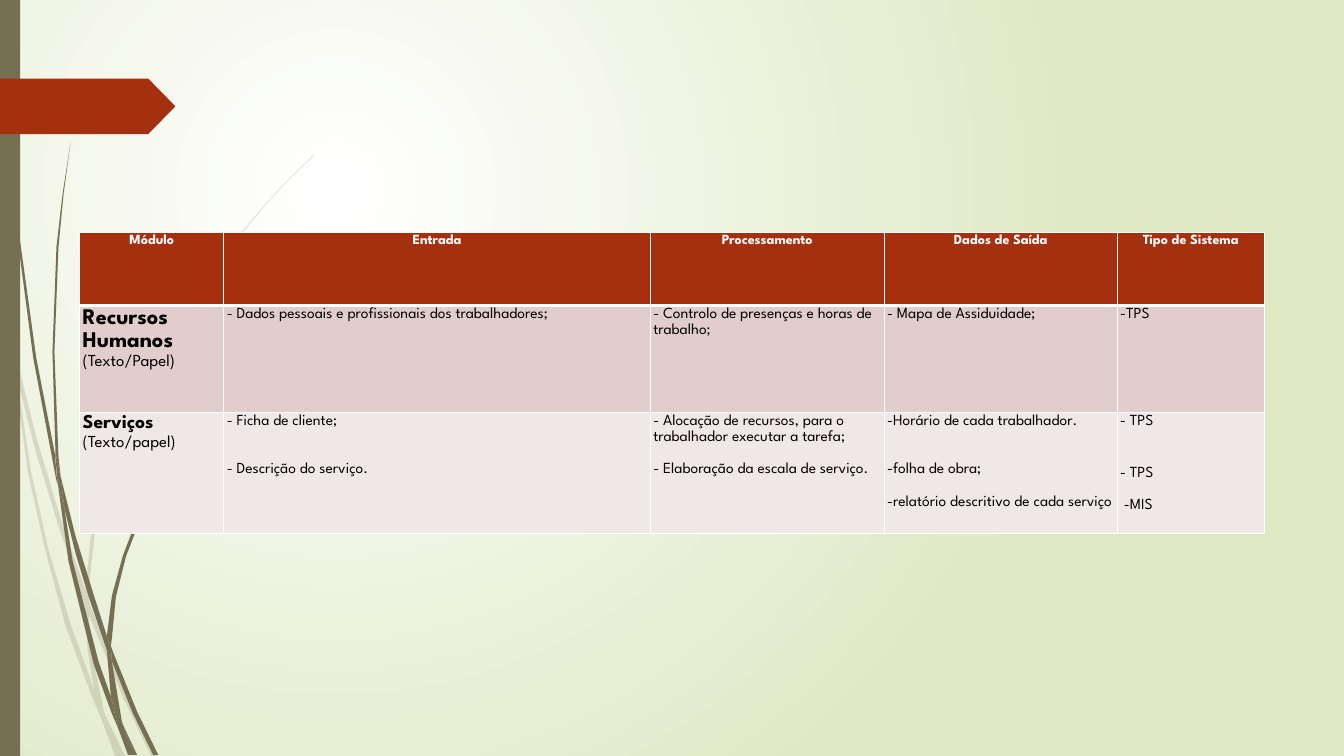
from lxml import etree
from pptx import Presentation
from pptx.dml.color import RGBColor
from pptx.enum.shapes import MSO_SHAPE
from pptx.enum.text import PP_ALIGN
from pptx.oxml.ns import qn
from pptx.util import Inches, Pt

RECT, ARROW = MSO_SHAPE.RECTANGLE, MSO_SHAPE.PENTAGON
LEFT, CENTER = PP_ALIGN.LEFT, PP_ALIGN.CENTER
FONT = "League Spartan"
OLIVE, RUST, WHITE, BLACK = "766F54", "A53010", "FFFFFF", "000000"
GAP = 11.6  # height of one line of 11 pt text, in points

HEADS = ["Módulo", "Entrada", "Processamento", "Dados de Saída", "Tipo de Sistema"]
# Each line: text, then its format
ROWS = [
    ("E1CDCC", [
        [("Recursos Humanos", dict(size=16, bold=True)), ("(Texto/Papel)", dict(size=12))],
        [("- Dados pessoais e profissionais dos trabalhadores;", {})],
        [("- Controlo de presenças e horas de trabalho;", {})],
        [("- Mapa de Assiduidade;", {})],
        [("-TPS", {})],
    ]),
    ("F0E8E7", [
        [("Serviços", dict(size=14, bold=True)), ("(Texto/papel)", dict(size=12))],
        [("- Ficha de cliente;", {}), ("- Descrição do serviço.", dict(before=2 * GAP))],
        [("- Alocação de recursos, para o trabalhador executar a tarefa;", {}),
         ("- Elaboração da escala de serviço.", dict(before=GAP))],
        [("-Horário de cada trabalhador.", {}),
         ("-folha de obra;", dict(before=2 * GAP)),
         ("-relatório descritivo de cada serviço", dict(before=GAP))],
        [("- TPS", {}), ("- TPS", dict(before=2.2 * GAP)), (" -MIS", dict(before=GAP))],
    ]),
]
WIDTHS = [1.43, 4.23, 2.32, 2.31, 1.46]
HEIGHTS = [0.72, 1.06, 1.2]

# Outlines of the grass blades, in inches
PALE = [
    [(0.11, 3.5), (0.09, 3.22), (0, 2.82), (0, 2.99), (0.1, 3.44)],
    [(0.58, 5.22), (0.84, 5.99), (0.85, 5.86), (0.62, 5.2), (0.36, 4.34), (0.14, 3.45),
     (0.17, 3.76), (0.36, 4.5)],
    [(0.92, 6.07), (0.88, 5.96), (0.88, 6.1), (1.23, 6.94), (1.5, 7.5), (1.55, 7.5),
     (1.27, 6.92)],
    [(1.19, 7.5), (1.24, 7.5), (1.05, 7.11)],
    [(0.93, 6.83), (0.7, 6.19), (0.48, 5.45), (0.31, 4.69), (0.17, 3.76), (0.11, 3.5),
     (0.28, 4.7), (0.45, 5.46), (0.65, 6.21), (0.92, 6.93), (1.01, 7.14), (0.99, 7.07)],
    [(0.84, 5.99), (0.87, 6.46), (0.93, 6.83), (0.96, 6.92), (1.05, 7.11), (1.03, 7.06),
     (0.91, 6.46), (0.88, 6.1), (0.88, 6.08)],
    [(0.88, 5.84), (0.95, 5.22), (1.1, 4.62), (1.33, 4.05), (1.6, 3.49), (1.93, 2.95),
     (2.29, 2.45), (2.68, 1.98), (2.9, 1.75), (3.12, 1.54), (3.12, 1.53), (2.89, 1.75),
     (2.68, 1.97), (2.28, 2.44), (1.91, 2.94), (1.58, 3.48), (1.3, 4.04), (1.07, 4.61),
     (0.91, 5.21), (0.85, 5.84), (0.85, 5.86), (0.88, 5.96)],
    [(1.01, 7.14), (1.14, 7.5), (1.19, 7.5)],
    [(0.88, 6.08), (0.88, 6.1), (0.88, 5.96), (0.85, 5.86), (0.84, 5.99)],
    [(0.96, 6.92), (0.93, 6.83), (0.99, 7.07), (1.01, 7.14), (1.19, 7.5), (1.05, 7.11)],
]
DARK = [
    [(0.07, 1.1), (0.17, 2.33), (0.33, 3.55), (0.56, 4.77), (0.57, 4.81), (0.55, 4.57),
     (0.55, 4.53), (0.36, 3.55), (0.19, 2.32), (0.08, 1.09), (0.05, 0.48), (0.04, 0),
     (0.03, 0), (0.04, 0.48)],
    [(0.88, 5.92), (1.06, 6.45), (1.06, 6.31), (0.93, 5.9), (0.75, 5.32), (0.6, 4.72),
     (0.64, 5.05), (0.75, 5.49)],
    [(1.13, 6.49), (1.1, 6.41), (1.11, 6.56), (1.32, 7.08), (1.52, 7.49), (1.57, 7.49),
     (1.36, 7.06)],
    [(1.1, 6.91), (0.98, 6.57), (0.72, 5.56), (0.64, 5.05), (0.57, 4.77), (0.68, 5.57),
     (0.93, 6.59), (1.11, 7.08), (1.17, 7.22), (1.16, 7.17)],
    [(0.6, 4.72), (0.58, 4.53), (0.54, 3.49), (0.58, 2.45), (0.63, 1.93), (0.7, 1.41),
     (0.62, 1.93), (0.56, 2.45), (0.52, 3.49), (0.55, 4.49)],
    [(1.33, 7.49), (1.36, 7.49), (1.22, 7.19)],
    [(0.57, 4.77), (0.64, 5.05), (0.6, 4.72), (0.55, 4.49), (0.55, 4.53)],
    [(1.11, 6.33), (1.15, 5.92), (1.25, 5.52), (1.4, 5.13), (1.58, 4.76), (2.05, 4.06),
     (2.31, 3.74), (2.61, 3.44), (2.45, 3.58), (2.31, 3.73), (2.04, 4.05), (1.56, 4.74),
     (1.37, 5.12), (1.22, 5.51), (1.11, 5.91), (1.06, 6.31), (1.1, 6.41)],
    [(1.17, 7.22), (1.27, 7.49), (1.31, 7.49)],
    [(1.06, 6.45), (1.1, 6.91), (1.16, 7.06), (1.22, 7.19), (1.21, 7.16), (1.11, 6.56),
     (1.09, 6.51)],
    [(1.06, 6.45), (1.09, 6.51), (1.11, 6.56), (1.1, 6.41), (1.06, 6.31)],
    [(1.16, 7.06), (1.1, 6.91), (1.16, 7.17), (1.17, 7.22), (1.3, 7.49), (1.33, 7.49),
     (1.22, 7.19)],
]


def paint(fill, tone):
    fill.solid()
    fill.fore_color.rgb = RGBColor.from_string(tone)


def finish(shape, tone, alpha=None):
    """Give a shape a plain fill, no line and no shadow."""
    paint(shape.fill, tone)
    shape.line.fill.background()
    shape.shadow.inherit = False
    if alpha:
        clr = shape.element.spPr.find(".//" + qn("a:srgbClr"))
        etree.SubElement(clr, qn("a:alpha"), val=str(alpha * 1000))


def blade(shapes, pts, alpha=None):
    """Draw one closed piece of a grass blade."""
    start, *rest = [(Inches(x), Inches(y)) for x, y in pts]
    form = shapes.build_freeform(*start)
    form.add_line_segments(rest, close=True)
    finish(form.convert_to_shape(), OLIVE, alpha)


def write(para, text, size=11, bold=False, tone=BLACK, align=LEFT, before=0):
    para.alignment = align
    para.line_spacing = 1.15
    para.space_before = Pt(before)
    run = para.add_run()
    run.text = text
    run.font.name, run.font.size, run.font.bold = FONT, Pt(size), bold
    run.font.color.rgb = RGBColor.from_string(tone)


def edge(side, width):
    line = etree.Element(qn("a:" + side), w=str(Pt(width)))
    fill = etree.SubElement(line, qn("a:solidFill"))
    etree.SubElement(fill, qn("a:srgbClr"), val=WHITE)
    return line


def fill_cell(cell, lines, tone, top, base):
    cell.margin_left = cell.margin_right = Inches(0.03)
    cell.margin_top = cell.margin_bottom = 0
    paint(cell.fill, tone)
    sides = {"lnL": 1, "lnR": 1, "lnT": top, "lnB": base}
    for i, (side, width) in enumerate(sides.items()):
        cell._tc.get_or_add_tcPr().insert(i, edge(side, width))
    frame = cell.text_frame
    for i, (text, form) in enumerate(lines):
        write(frame.add_paragraph() if i else frame.paragraphs[0], text, **form)


def backdrop(slide):
    """Spread a round gradient from the upper left quarter."""
    fill = slide.background.fill
    fill.gradient()
    for stop, place, tone in zip(fill.gradient_stops, (0, 1), (WHITE, "DFE8C4")):
        stop.position = place
        stop.color.rgb = RGBColor.from_string(tone)
    grad = slide.element.find(".//" + qn("a:gradFill"))
    grad.remove(grad.find(qn("a:lin")))
    ring = etree.SubElement(grad, qn("a:path"), {"path": "circle"})
    etree.SubElement(ring, qn("a:fillToRect"), l="50000", t="50000", r="100000", b="100000")


def main():
    deck = Presentation()
    deck.slide_width, deck.slide_height = Inches(13.33), Inches(7.5)
    slide = deck.slides.add_slide(deck.slide_layouts[6])
    shapes = slide.shapes
    backdrop(slide)

    for pts in PALE:
        blade(shapes, pts, alpha=20)
    for pts in DARK:
        blade(shapes, pts)
    finish(shapes.add_shape(RECT, 0, 0, Inches(0.2), Inches(7.5)), OLIVE)
    flag = shapes.add_shape(ARROW, 0, Inches(0.78), Inches(1.74), Inches(0.55))
    flag.adjustments[0] = 0.49
    finish(flag, RUST)

    table = shapes.add_table(len(HEIGHTS), len(WIDTHS), Inches(0.79), Inches(2.31),
                             Inches(sum(WIDTHS)), Inches(sum(HEIGHTS))).table
    for col, width in zip(table.columns, WIDTHS):
        col.width = Inches(width)
    for row, height in zip(table.rows, HEIGHTS):
        row.height = Inches(height)

    head = dict(size=10, bold=True, tone=WHITE, align=CENTER)
    grid = [(RUST, [[(text, head)] for text in HEADS])] + ROWS
    for r, (tone, cells) in enumerate(grid):
        for c, lines in enumerate(cells):
            fill_cell(table.cell(r, c), lines, tone,
                      top=3 if r == 1 else 1, base=1 if r else 3)

    deck.save("out.pptx")


if __name__ == "__main__":
    main()
